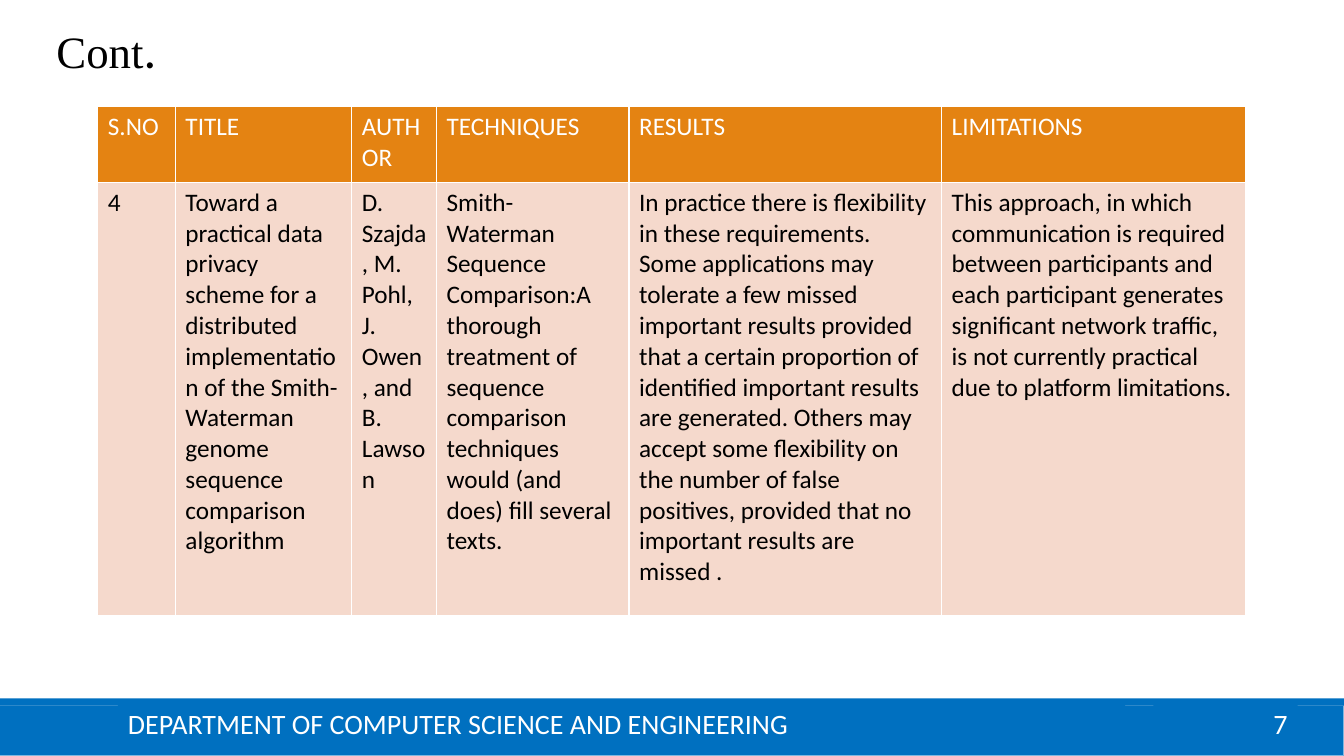
from pptx import Presentation
from pptx.dml.color import RGBColor
from pptx.enum import shapes, text
from pptx.oxml import parse_xml
from pptx.oxml.ns import nsdecls
from pptx.util import Inches, Pt

COLORS = {
    "bar": "0070C0",
    "bar_edge": "7FB7DF",
    "header": "E48312",
    "body": "F5D9CC",
    "white": "FFFFFF",
    "black": "000000",
}
COLUMN_WIDTHS = [0.77, 1.75, 0.84, 1.91, 3.1, 3.01]
ROW_HEIGHTS = [0.75, 4.3]
SURVEY = [
    ["S.NO", "TITLE", "AUTHOR", "TECHNIQUES", "RESULTS", "LIMITATIONS"],
    [
        "4",
        "Toward a practical data privacy scheme for a distributed implementation "
        "of the Smith-Waterman genome sequence comparison algorithm",
        "D. Szajda, M. Pohl, J. Owen, and B. Lawson",
        "Smith-Waterman Sequence Comparison:A thorough treatment of sequence "
        "comparison techniques would (and does) fill several texts.",
        "In practice there is flexibility in these requirements. Some applications "
        "may tolerate a few missed important results provided that a certain "
        "proportion of identified important results are generated. Others may accept "
        "some flexibility on the number of false positives, provided that no "
        "important results are missed .",
        "This approach, in which communication is required between participants and "
        "each participant generates significant network traffic, is not currently "
        "practical due to platform limitations.",
    ],
]


def color(name):
    """Return the named colour."""
    return RGBColor.from_string(COLORS[name])


def write(frame, words, size=18, font="Calibri", ink="black",
          align=text.PP_ALIGN.LEFT, anchor=text.MSO_ANCHOR.TOP):
    """Append a formatted run to the first paragraph of a text frame."""
    frame.word_wrap = True
    frame.vertical_anchor = anchor
    paragraph = frame.paragraphs[0]
    paragraph.alignment = align
    run = paragraph.add_run()
    run.text = words
    run.font.size = Pt(size)
    run.font.name = font
    run.font.bold = False
    run.font.color.rgb = color(ink)


def add_bar(slide, left, top, width, height, edge=None):
    """Add a blue bar, with a thin edge if one is named."""
    bar = slide.shapes.add_shape(shapes.MSO_SHAPE.RECTANGLE, Inches(left),
                                 Inches(top), Inches(width), Inches(height))
    bar.shadow.inherit = False
    bar.fill.solid()
    bar.fill.fore_color.rgb = color("bar")
    if edge:
        bar.line.color.rgb = color(edge)
        bar.line.width = Pt(0.75)
    else:
        bar.line.fill.background()
    return bar


def add_footer(slide, left, top, width, height):
    """Add the footer band with the department and page number."""
    strip = 0.07
    add_bar(slide, left, top + strip, width, height - strip, edge="bar_edge")
    add_bar(slide, left, top, width, strip)
    page = add_bar(slide, left + 11.44, top + 0.05, 1.43, 0.4)
    write(page.text_frame, "7", size=20, ink="white",
          align=text.PP_ALIGN.RIGHT, anchor=text.MSO_ANCHOR.MIDDLE)
    department = add_bar(slide, left + 1.17, top + 0.05, 9.99, 0.39)
    write(department.text_frame, "DEPARTMENT OF COMPUTER SCIENCE AND ENGINEERING",
          size=20, ink="white", anchor=text.MSO_ANCHOR.MIDDLE)


def add_borders(cell):
    """Give a cell thin white borders."""
    properties = cell._tc.get_or_add_tcPr()
    for index, side in enumerate("LRTB"):
        properties.insert(index, parse_xml(
            f'<a:ln{side} {nsdecls("a")} w="{Pt(1)}"><a:solidFill>'
            f'<a:srgbClr val="{COLORS["white"]}"/></a:solidFill></a:ln{side}>'))


def add_survey(slide, left, top, width, height):
    """Add the literature survey table."""
    table = slide.shapes.add_table(
        len(SURVEY), len(COLUMN_WIDTHS), Inches(left), Inches(top),
        Inches(width), Inches(height)).table
    table.first_row = False
    table.horz_banding = False
    for column, column_width in zip(table.columns, COLUMN_WIDTHS):
        column.width = Inches(column_width)
    for row, row_height, entries, fill, ink in zip(
            table.rows, ROW_HEIGHTS, SURVEY, ("header", "body"), ("white", "black")):
        row.height = Inches(row_height)
        for cell, entry in zip(row.cells, entries):
            cell.fill.solid()
            cell.fill.fore_color.rgb = color(fill)
            add_borders(cell)
            write(cell.text_frame, entry, ink=ink)


def add_title(slide, left, top, width, height):
    """Place and fill the title placeholder."""
    title = slide.shapes.title
    title.left, title.top = Inches(left), Inches(top)
    title.width, title.height = Inches(width), Inches(height)
    title.text_frame.auto_size = text.MSO_AUTO_SIZE.NONE
    write(title.text_frame, "Cont", size=32, font="Times New Roman")
    write(title.text_frame, ".", size=36)


def main():
    """Build and save the slide."""
    deck = Presentation()
    deck.slide_width, deck.slide_height = Inches(13.33), Inches(7.5)
    slide = deck.slides.add_slide(deck.slide_layouts.get_by_name("Title Only"))
    add_footer(slide, 0, 6.93, 13.33, 0.57)
    add_survey(slide, 0.97, 1.06, sum(COLUMN_WIDTHS), sum(ROW_HEIGHTS))
    add_title(slide, 0.46, 0.13, 6.67, 0.71)
    deck.save("out.pptx")


if __name__ == "__main__":
    main()
